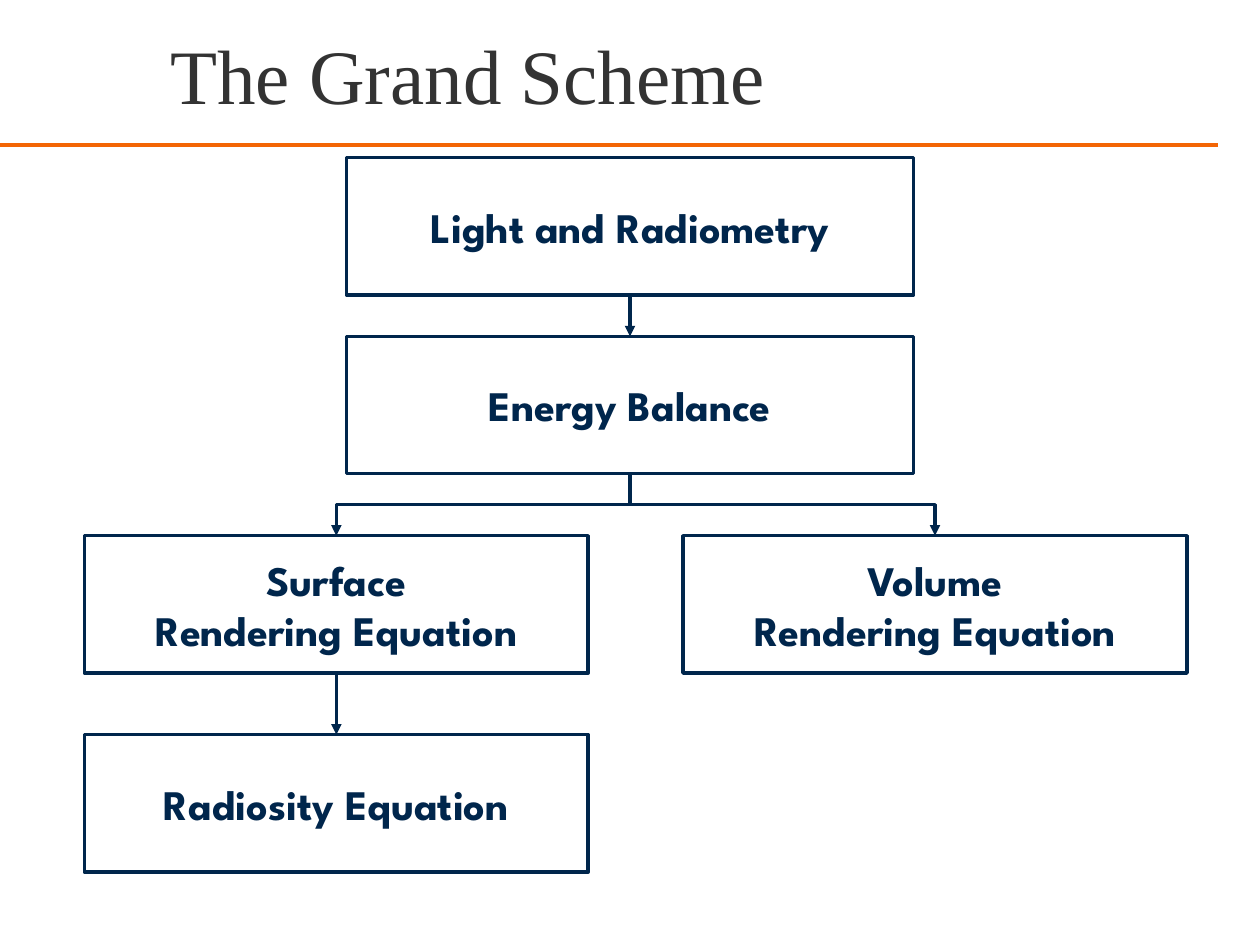
from dataclasses import dataclass

from lxml import etree
from pptx import Presentation
from pptx.dml.color import RGBColor
from pptx.enum.shapes import MSO_CONNECTOR, MSO_SHAPE
from pptx.enum.text import MSO_ANCHOR, PP_ALIGN
from pptx.oxml.ns import qn
from pptx.shapes.autoshape import Shape
from pptx.shapes.connector import Connector
from pptx.slide import Slide
from pptx.util import Cm, Pt

STRAIGHT, ELBOW = MSO_CONNECTOR.STRAIGHT, MSO_CONNECTOR.ELBOW
RECTANGLE = MSO_SHAPE.RECTANGLE
MIDDLE = MSO_ANCHOR.MIDDLE
LEFT, CENTER = PP_ALIGN.LEFT, PP_ALIGN.CENTER
TOP_SITE, BOTTOM_SITE = 0, 2

COLORS = {"navy": "00264C", "orange": "F36505", "title": "333333"}
BOX_HEIGHT = 2.77
WIDE, NARROW = 11.43, 10.16
MIDDLE_X, LEFT_X, RIGHT_X = 12.7, 6.78, 18.85


@dataclass(frozen=True)
class Topic:
    """A box of the scheme; lengths in centimetres."""
    lines: tuple[str, ...]
    center: float
    top: float
    width: float


TOPICS = {
    "light": Topic(("Light and Radiometry",), MIDDLE_X, 3.18, WIDE),
    "energy": Topic(("Energy Balance",), MIDDLE_X, 6.78, WIDE),
    "surface": Topic(("Surface", "Rendering Equation"), LEFT_X, 10.8, NARROW),
    "volume": Topic(("Volume", "Rendering Equation"), RIGHT_X, 10.8, NARROW),
    "radiosity": Topic(("Radiosity Equation",), LEFT_X, 14.81, NARROW),
}
LINKS = (
    ("light", "energy"),
    ("energy", "volume"),
    ("energy", "surface"),
    ("surface", "radiosity"),
)


def color(name: str) -> RGBColor:
    return RGBColor.from_string(COLORS[name])


def style_connector(connector: Connector, color_name: str, width: float) -> None:
    connector.line.color.rgb = color(color_name)
    connector.line.width = Pt(width)
    etree.SubElement(connector._element.spPr, qn("a:effectLst"))


def add_title(slide: Slide, text: str) -> None:
    title = slide.shapes.title
    title.left, title.top = Cm(3.18), Cm(0.43)
    title.width, title.height = Cm(21.46), Cm(2.11)
    title.text_frame.vertical_anchor = MIDDLE
    paragraph = title.text_frame.paragraphs[0]
    paragraph.alignment = LEFT
    run = paragraph.add_run()
    run.text = text
    run.font.name = "Times New Roman"
    run.font.size = Pt(44)
    run.font.color.rgb = color("title")


def add_topic(slide: Slide, topic: Topic) -> Shape:
    shape = slide.shapes.add_shape(
        RECTANGLE, Cm(topic.center - topic.width / 2), Cm(topic.top),
        Cm(topic.width), Cm(BOX_HEIGHT))
    shape.shadow.inherit = False
    shape.fill.background()
    shape.line.color.rgb = color("navy")
    shape.line.width = Pt(2)
    frame = shape.text_frame
    frame.word_wrap = False
    frame.vertical_anchor = MIDDLE
    for index, line in enumerate(topic.lines):
        paragraph = frame.add_paragraph() if index else frame.paragraphs[0]
        paragraph.alignment = CENTER
        run = paragraph.add_run()
        run.text = line
        run.font.name = "League Spartan"
        run.font.size = Pt(24)
        run.font.bold = True
        run.font.color.rgb = color("navy")
    return shape


def turn_downwards(connector: Connector) -> None:
    """Rotate an elbow so that it leaves and arrives vertically."""
    start_x, end_x = connector.begin_x, connector.end_x
    start_y, end_y = connector.begin_y, connector.end_y
    across, down = abs(end_x - start_x), end_y - start_y
    connector.left = (start_x + end_x - down) // 2
    connector.top = (start_y + end_y - across) // 2
    connector.width, connector.height = down, across
    goes_right = end_x > start_x
    transform = connector._element.spPr.find(qn("a:xfrm"))
    transform.set("rot", str((270 if goes_right else 90) * 60000))
    transform.set("flipH", "1" if goes_right else "0")
    transform.set("flipV", "0")


def add_link(slide: Slide, parent: Shape, child: Shape, bent: bool) -> None:
    connector = slide.shapes.add_connector(ELBOW if bent else STRAIGHT, 0, 0, 0, 0)
    connector.begin_connect(parent, BOTTOM_SITE)
    connector.end_connect(child, TOP_SITE)
    if bent:
        turn_downwards(connector)
    style_connector(connector, "navy", 2)
    line = connector.line._get_or_add_ln()
    etree.SubElement(line, qn("a:tailEnd"), type="triangle")


def main() -> None:
    presentation = Presentation()
    presentation.slide_width, presentation.slide_height = Cm(25.4), Cm(19.05)
    slide = presentation.slides.add_slide(presentation.slide_layouts[5])

    # Title and the rule below it
    rule = slide.shapes.add_connector(STRAIGHT, 0, Cm(2.92), Cm(24.56), Cm(2.92))
    style_connector(rule, "orange", 2.25)
    add_title(slide, "The Grand Scheme")

    # Topic boxes and the arrows between them
    boxes = {name: add_topic(slide, topic) for name, topic in TOPICS.items()}
    for parent, child in LINKS:
        bent = TOPICS[parent].center != TOPICS[child].center
        add_link(slide, boxes[parent], boxes[child], bent)

    presentation.save("out.pptx")


if __name__ == "__main__":
    main()
